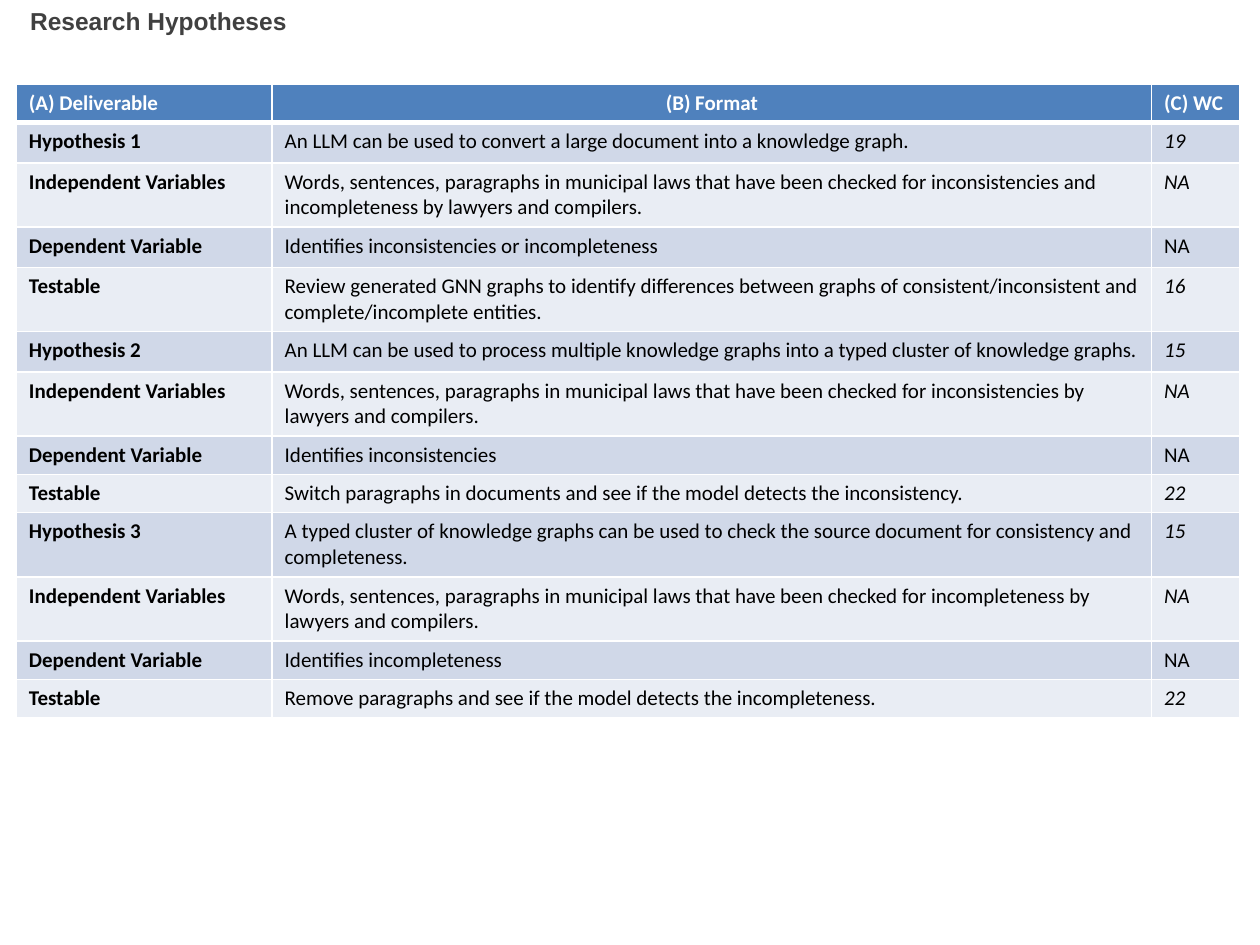
from lxml.etree import SubElement
from pptx import Presentation
from pptx.dml.color import RGBColor
from pptx.enum.text import PP_ALIGN
from pptx.oxml.ns import qn
from pptx.util import Inches, Pt

COLORS = {
    "title": "404040",
    "header": "4F81BD",
    "odd_row": "D0D8E8",
    "even_row": "E9EDF4",
    "border": "FFFFFF",
    "header_text": "FFFFFF",
    "body_text": "000000",
}

HEADINGS = ("(A) Deliverable", "(B) Format", "(C) WC")
LABELS = ("Independent Variables", "Dependent Variable", "Testable")
LAWS = "Words, sentences, paragraphs in municipal laws that have been checked for "

# Per hypothesis: statement, its word count, texts for LABELS, testable word count
HYPOTHESES = [
    ("An LLM can be used to convert a large document into a knowledge graph.", "19",
     (LAWS + "inconsistencies and incompleteness by lawyers and compilers.",
      "Identifies inconsistencies or incompleteness",
      "Review generated GNN graphs to identify differences between graphs of "
      "consistent/inconsistent and complete/incomplete entities."), "16"),
    ("An LLM can be used to process multiple knowledge graphs into a typed cluster "
     "of knowledge graphs.", "15",
     (LAWS + "inconsistencies by lawyers and compilers.",
      "Identifies inconsistencies",
      "Switch paragraphs in documents and see if the model detects the inconsistency."),
     "22"),
    ("A typed cluster of knowledge graphs can be used to check the source document "
     "for consistency and completeness.", "15",
     (LAWS + "incompleteness by lawyers and compilers.",
      "Identifies incompleteness",
      "Remove paragraphs and see if the model detects the incompleteness."), "22"),
]
COLUMN_WIDTHS = (2.03, 6.98, 0.7)
ROW_HEIGHTS = (0.3, 0.32, 0.51, 0.32, 0.51, 0.32, 0.51, 0.3, 0.3, 0.51, 0.51, 0.3, 0.3)


def add_border(cell, side, width):
    line = SubElement(cell._tc.get_or_add_tcPr(), qn("a:" + side), w=str(Pt(width)))
    fill = SubElement(line, qn("a:solidFill"))
    SubElement(fill, qn("a:srgbClr"), val=COLORS["border"])


def style_text(paragraph, font_name, size, color, bold, italic=False):
    for run in paragraph.runs:
        run.font.name = font_name
        run.font.size = Pt(size)
        run.font.bold = bold
        run.font.italic = italic
        run.font.color.rgb = RGBColor.from_string(COLORS[color])


prs = Presentation()
prs.slide_width, prs.slide_height = Inches(10), Inches(7.5)
slide = prs.slides.add_slide(prs.slide_layouts[6])

# Table rows
rows = [HEADINGS]
for number, (statement, count, details, test_count) in enumerate(HYPOTHESES, 1):
    rows.append((f"Hypothesis {number}", statement, count))
    rows.extend(zip(LABELS, details, ("NA", "NA", test_count)))

# Hypotheses table
hypotheses = slide.shapes.add_table(
    len(rows), len(HEADINGS), Inches(0.13), Inches(0.67),
    Inches(sum(COLUMN_WIDTHS)), Inches(sum(ROW_HEIGHTS))).table
for column, width in zip(hypotheses.columns, COLUMN_WIDTHS):
    column.width = Inches(width)
for row, height in zip(hypotheses.rows, ROW_HEIGHTS):
    row.height = Inches(height)

for r, texts in enumerate(rows):
    is_header = r == 0
    band = "header" if is_header else "odd_row" if r % 2 else "even_row"
    for c, text in enumerate(texts):
        cell = hypotheses.cell(r, c)
        # The line below the header is heavier
        add_border(cell, "lnL", 1)
        add_border(cell, "lnR", 1)
        add_border(cell, "lnT", 3 if r == 1 else 1)
        add_border(cell, "lnB", 3 if is_header else 1)
        cell.fill.solid()
        cell.fill.fore_color.rgb = RGBColor.from_string(COLORS[band])

        cell.text_frame.text = text
        paragraph = cell.text_frame.paragraphs[0]
        if is_header and c == 1:
            paragraph.alignment = PP_ALIGN.CENTER
        style_text(paragraph, "Calibri", 12,
                   "header_text" if is_header else "body_text",
                   bold=is_header or c == 0,
                   italic=not is_header and c == 2 and texts[0] != "Dependent Variable")

# Title
title = slide.shapes.add_textbox(Inches(0.14), Inches(0), Inches(8.48), Inches(0.68))
title.text_frame.word_wrap = True
title.text_frame.text = "Research Hypotheses"
style_text(title.text_frame.paragraphs[0], "Arial", 14, "title", bold=True)

prs.save("out.pptx")
